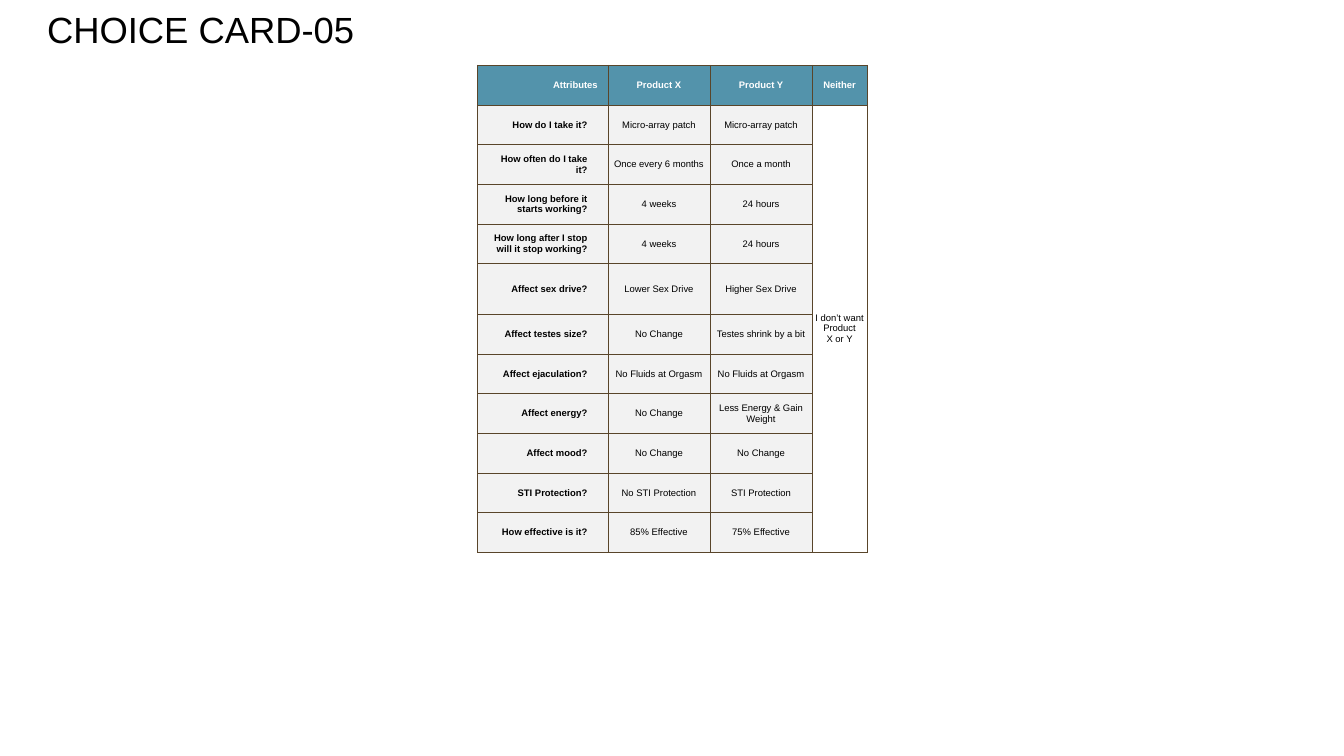
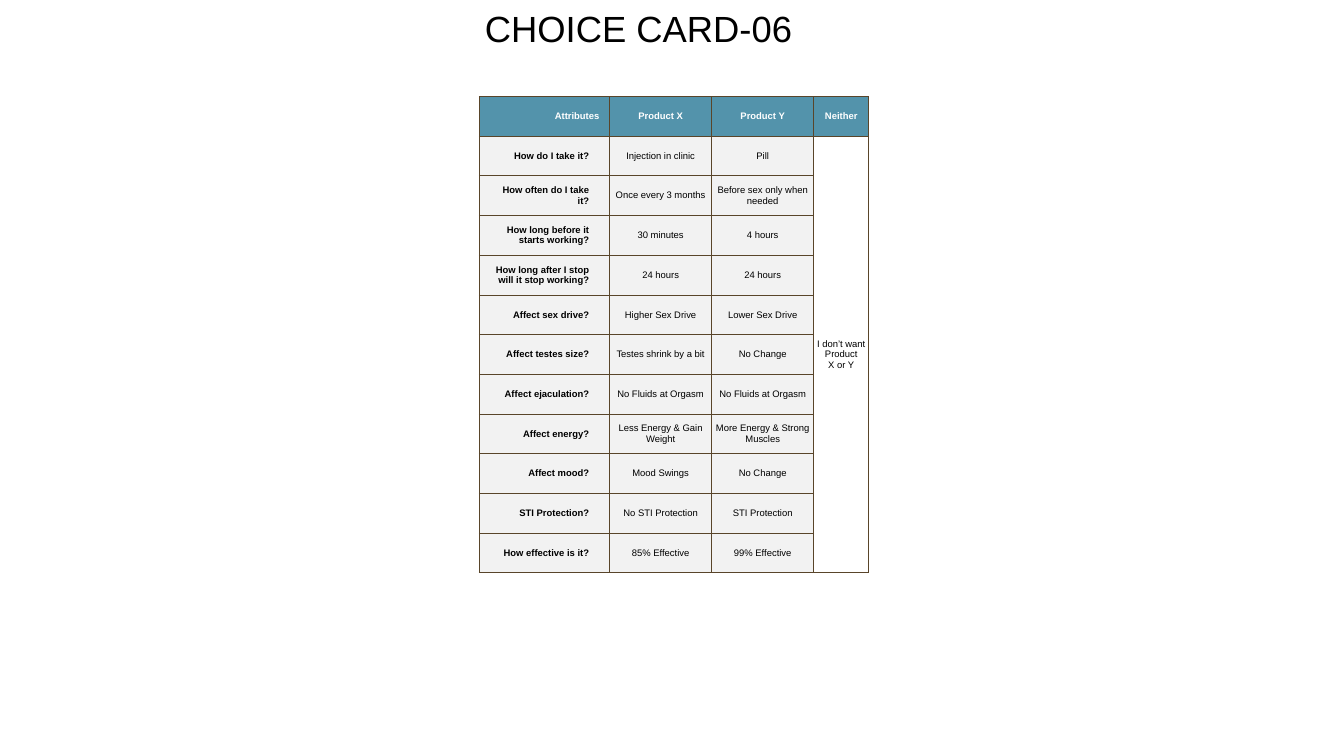
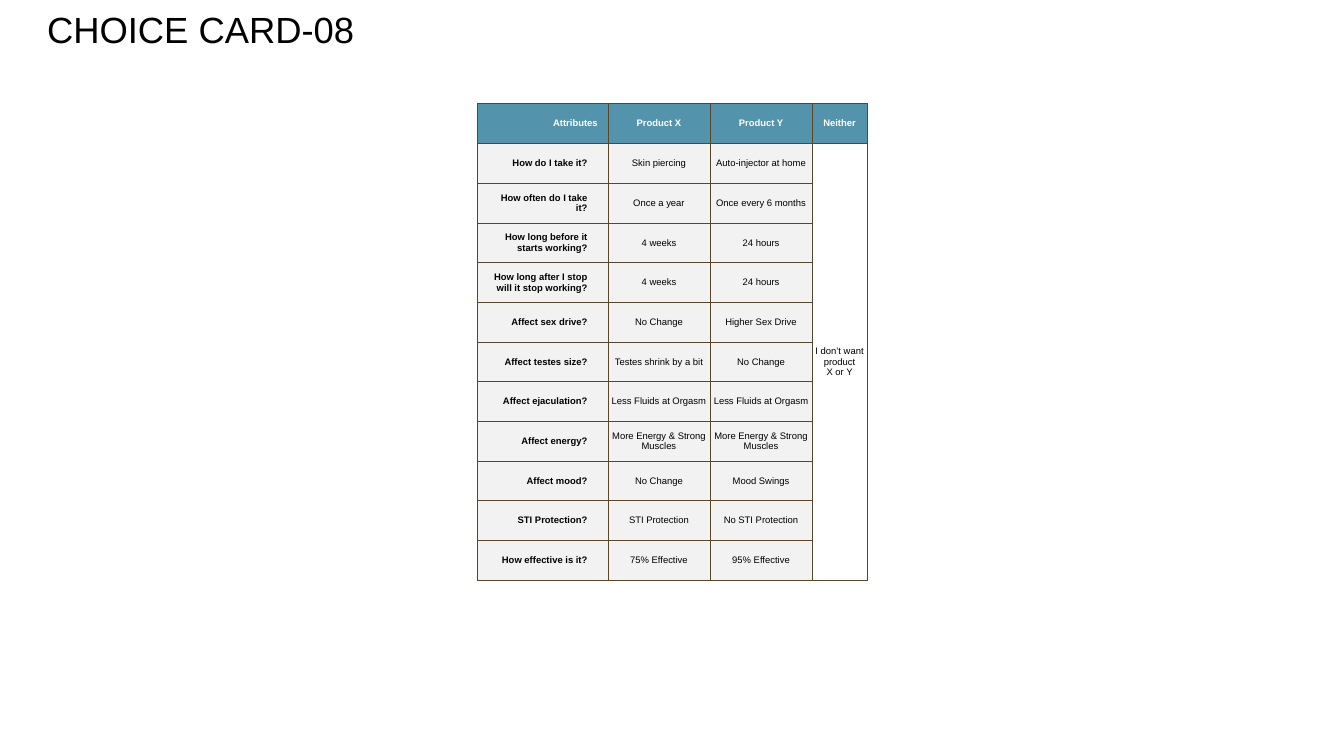
"""Build three choice cards, each comparing two products in a table."""
from dataclasses import dataclass

from lxml import etree
from pptx import Presentation
from pptx.dml.color import RGBColor
from pptx.enum import text
from pptx.oxml import ns
from pptx.util import Inches, Pt


@dataclass(frozen=True)
class Theme:
    font: str = "Arial"
    title_size: float = 46.2
    title_leading: float = 30.7
    cell_size: float = 12
    border_width: float = 1
    black: str = "000000"
    white: str = "FFFFFF"
    header: str = "5393AB"
    body: str = "F2F2F2"
    border: str = "59452A"


THEME = Theme()
LEFT, CENTER, RIGHT = text.PP_ALIGN.LEFT, text.PP_ALIGN.CENTER, text.PP_ALIGN.RIGHT
COLUMN_WIDTHS = [2.3, 1.8, 1.8, 0.97]
ROW_HEIGHT = 0.7
HEADER = ["Attributes", "Product X", "Product Y", "Neither"]
QUESTIONS = [
    "How do I take it?",
    "How often do I take it?",
    "How long before it starts working?",
    "How long after I stop will it stop working?",
    "Affect sex drive?",
    "Affect testes size?",
    "Affect ejaculation?",
    "Affect energy?",
    "Affect mood?",
    "STI Protection?",
    "How effective is it?",
]
CARDS = [
    {
        "title": "CHOICE CARD-05",
        "title_box": (0.73, 0.42, 18.05, 0.74),
        "table_at": (8.42, 1.15),
        "tall_rows": {5: 0.89},
        "neither": "I don’t want Product\nX or Y",
        "x": ["Micro-array patch", "Once every 6 months", "4 weeks", "4 weeks",
              "Lower Sex Drive", "No Change", "No Fluids at Orgasm", "No Change",
              "No Change", "No STI Protection", "85% Effective"],
        "y": ["Micro-array patch", "Once a month", "24 hours", "24 hours",
              "Higher Sex Drive", "Testes shrink by a bit", "No Fluids at Orgasm",
              "Less Energy & Gain Weight", "No Change", "STI Protection",
              "75% Effective"],
    },
    {
        "title": "CHOICE CARD-06",
        "title_box": (8.45, 0.42, 10.33, 0.08),
        "table_at": (8.45, 1.7),
        "tall_rows": {},
        "neither": "I don’t want Product\nX or Y",
        "x": ["Injection in clinic", "Once every 3 months", "30 minutes", "24 hours",
              "Higher Sex Drive", "Testes shrink by a bit", "No Fluids at Orgasm",
              "Less Energy & Gain Weight", "Mood Swings", "No STI Protection",
              "85% Effective"],
        "y": ["Pill", "Before sex only when needed", "4 hours", "24 hours",
              "Lower Sex Drive", "No Change", "No Fluids at Orgasm",
              "More Energy & Strong Muscles", "No Change", "STI Protection",
              "99% Effective"],
    },
    {
        "title": "CHOICE CARD-08",
        "title_box": (0.73, 0.42, 18.05, 0.74),
        "table_at": (8.42, 1.83),
        "tall_rows": {},
        "neither": "I don’t want product\nX or Y",
        "x": ["Skin piercing", "Once a year", "4 weeks", "4 weeks", "No Change",
              "Testes shrink by a bit", "Less Fluids at Orgasm",
              "More Energy & Strong Muscles", "No Change", "STI Protection",
              "75% Effective"],
        "y": ["Auto-injector at home", "Once every 6 months", "24 hours", "24 hours",
              "Higher Sex Drive", "No Change", "Less Fluids at Orgasm",
              "More Energy & Strong Muscles", "Mood Swings", "No STI Protection",
              "95% Effective"],
    },
]


def style_text(tf, size, color, align, bold=False):
    for p in tf.paragraphs:
        p.alignment = align
        for r in p.runs:
            r.font.name = THEME.font
            r.font.size = Pt(size)
            r.font.bold = bold
            r.font.color.rgb = RGBColor.from_string(color)


def style_cell(cell, fill, insets):
    cell.fill.solid()
    cell.fill.fore_color.rgb = RGBColor.from_string(fill)
    cell.vertical_anchor = text.MSO_ANCHOR.MIDDLE
    (cell.margin_left, cell.margin_top,
     cell.margin_right, cell.margin_bottom) = map(Inches, insets)
    props = cell._tc.get_or_add_tcPr()
    for i, side in enumerate(["a:lnL", "a:lnR", "a:lnT", "a:lnB"]):
        line = etree.Element(ns.qn(side), w=str(Pt(THEME.border_width)))
        solid = etree.SubElement(line, ns.qn("a:solidFill"))
        etree.SubElement(solid, ns.qn("a:srgbClr"), val=THEME.border)
        props.insert(i, line)


prs = Presentation()
prs.slide_width, prs.slide_height = Inches(23.7), Inches(13.33)

for card in CARDS:
    s = prs.slides.add_slide(prs.slide_layouts[5])
    title = s.shapes.title
    title.left, title.top, title.width, title.height = map(Inches, card["title_box"])
    tf = title.text_frame
    tf.text = card["title"]
    tf.word_wrap = True
    tf.auto_size = text.MSO_AUTO_SIZE.NONE
    tf.vertical_anchor = text.MSO_ANCHOR.TOP
    tf.paragraphs[0].line_spacing = Pt(THEME.title_leading)
    style_text(tf, THEME.title_size, THEME.black, LEFT)

    rows = [HEADER]
    rows += [[*row, ""] for row in zip(QUESTIONS, card["x"], card["y"])]
    rows[1][3] = card["neither"]
    heights = [card["tall_rows"].get(i, ROW_HEIGHT) for i in range(len(rows))]
    left, top = card["table_at"]
    table = s.shapes.add_table(
        len(rows), len(HEADER), Inches(left), Inches(top),
        Inches(sum(COLUMN_WIDTHS)), Inches(sum(heights))).table
    table.first_row = table.horz_banding = False
    for column, width in zip(table.columns, COLUMN_WIDTHS):
        column.width = Inches(width)
    for row, height in zip(table.rows, heights):
        row.height = Inches(height)
    table.cell(1, 3).merge(table.cell(len(rows) - 1, 3))

    for i, values in enumerate(rows):
        for j, value in enumerate(values):
            cell = table.cell(i, j)
            if i == 0:
                fill, color, insets = THEME.header, THEME.white, (0.18, 0.09, 0.18, 0.09)
            elif j == 0:
                fill, color, insets = THEME.body, THEME.black, (0.18, 0.09, 0.36, 0.09)
            else:
                fill = THEME.white if j == 3 else THEME.body
                color, insets = THEME.black, (0.04, 0.02, 0.04, 0.02)
            style_cell(cell, fill, insets)
            if value:
                cell.text_frame.text = value
                style_text(cell.text_frame, THEME.cell_size, color,
                           RIGHT if j == 0 else CENTER, bold=i == 0 or j == 0)

prs.save("out.pptx")
